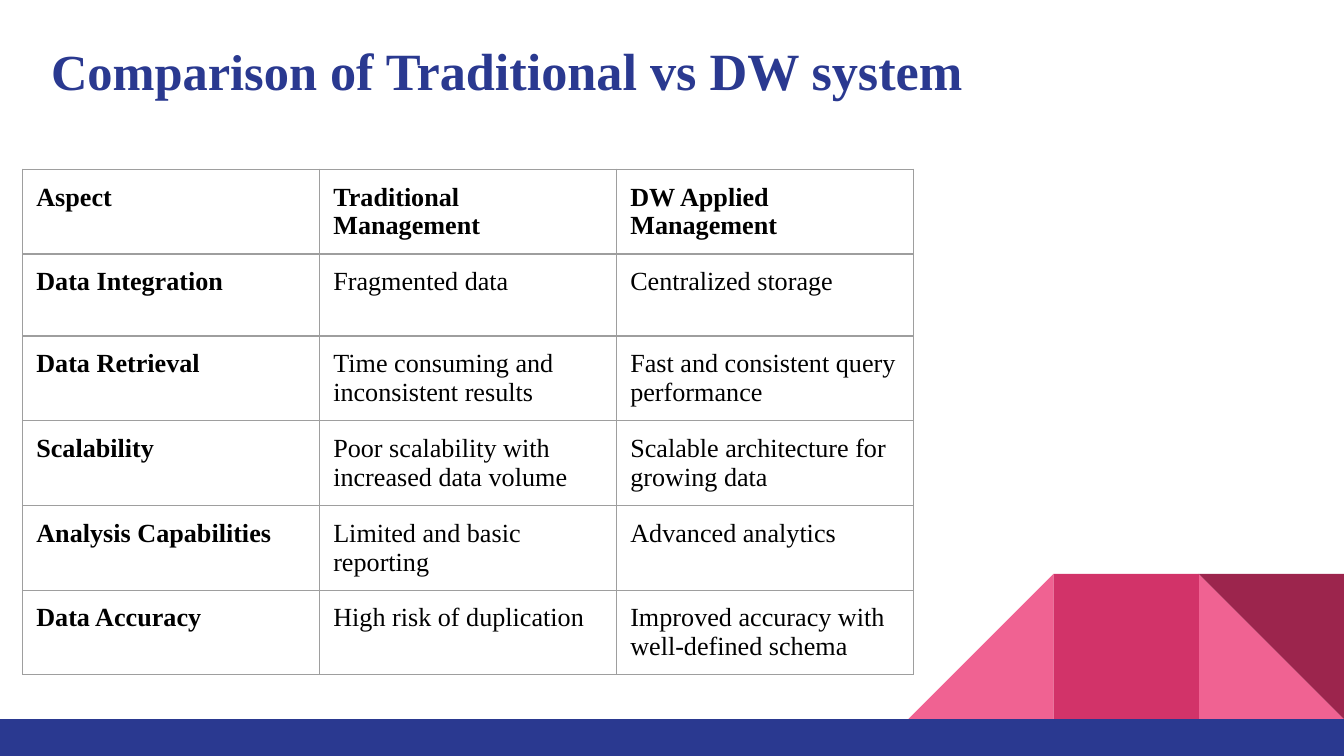
import pptx
import pptx.dml.color
import pptx.enum.shapes
import pptx.enum.text
import pptx.oxml
import pptx.oxml.ns
import pptx.util

W = 10
H = W * 9 / 16
FONT = "Times New Roman"
COLORS = {
    "white": "FFFFFF",
    "black": "000000",
    "navy": "2A3990",
    "pink": "F06292",
    "rose": "D23369",
    "wine": "9C254D",
    "grid": "9E9E9E",
}
ROWS = [
    ("Aspect", "Traditional Management", "DW Applied Management"),
    ("Data Integration", "Fragmented data", "Centralized storage"),
    ("Data Retrieval", "Time consuming and inconsistent results",
     "Fast and consistent query performance"),
    ("Scalability", "Poor scalability with increased data volume",
     "Scalable architecture for growing data"),
    ("Analysis Capabilities", "Limited and basic reporting", "Advanced analytics"),
    ("Data Accuracy", "High risk of duplication",
     "Improved accuracy with well-defined schema"),
]


def inches(*values):
    return [pptx.util.Inches(v) for v in values]


def rgb(name):
    return pptx.dml.color.RGBColor.from_string(COLORS[name])


def set_font(font, size, color, bold):
    font.name = FONT
    font.size = pptx.util.Pt(size)
    font.bold = bold
    font.color.rgb = rgb(color)


def add_block(s, kind, box, color, rotation=0, flip=False):
    sp = s.shapes.add_shape(kind, *inches(*box))
    sp.shadow.inherit = False
    sp.fill.solid()
    sp.fill.fore_color.rgb = rgb(color)
    sp.line.fill.background()
    sp.rotation = rotation
    if flip:
        sp._element.spPr.xfrm.set("flipH", "1")


def add_decoration(s):
    """Draw the bottom band and the folded ribbon standing on it."""
    kinds = pptx.enum.shapes.MSO_SHAPE
    side, band_top = 1.08, 5.35
    top = band_top - side
    left, middle, right = (W - n * side for n in (3, 2, 1))
    add_block(s, kinds.RIGHT_TRIANGLE, (right, top, side, side), "pink")
    add_block(s, kinds.RIGHT_TRIANGLE, (left, top, side, side), "pink", flip=True)
    add_block(s, kinds.RECTANGLE, (middle, top, side, side), "rose")
    add_block(s, kinds.RIGHT_TRIANGLE, (right, top, side, side), "wine", rotation=180)
    add_block(s, kinds.RECTANGLE, (0, band_top, W, H - band_top), "navy")


def add_title(s):
    sp = s.shapes.title
    sp.left, sp.top, sp.width, sp.height = inches(0.28, 0.19, 9.32, 0.66)
    tf = sp.text_frame
    tf.auto_size = pptx.enum.text.MSO_AUTO_SIZE.NONE
    tf.vertical_anchor = pptx.enum.text.MSO_ANCHOR.BOTTOM
    tf.margin_left = tf.margin_right = tf.margin_top = tf.margin_bottom = pptx.util.Inches(0.1)
    p = tf.paragraphs[0]
    p.alignment = pptx.enum.text.PP_ALIGN.LEFT
    for text, size in (("Comparison", 27), (" of Traditional vs DW system", 28)):
        r = p.add_run()
        r.text = text
        set_font(r.font, size, "navy", True)


def set_borders(cell):
    """Put the four border lines ahead of the cell's fill, as the schema asks."""
    tc_pr = cell._tc.get_or_add_tcPr()
    for i, side in enumerate(("lnL", "lnR", "lnT", "lnB")):
        tc_pr.insert(i, pptx.oxml.parse_xml(
            f'<a:{side} {pptx.oxml.ns.nsdecls("a")} w="{pptx.util.Pt(0.75)}">'
            f'<a:solidFill><a:srgbClr val="{COLORS["grid"]}"/></a:solidFill></a:{side}>'))


def fill_cell(cell, text, bold):
    cell.text = text
    cell.margin_left = cell.margin_right = pptx.util.Inches(0.1)
    cell.margin_top = cell.margin_bottom = pptx.util.Inches(0.1)
    cell.fill.background()
    set_borders(cell)
    set_font(cell.text_frame.paragraphs[0].font, 14, "black", bold)


def add_comparison(s):
    col_width, header_height, row_height = 2.21, 0.57, 0.61
    n_rows, n_cols = len(ROWS), len(ROWS[0])
    height = header_height + (n_rows - 1) * row_height
    table = s.shapes.add_table(
        n_rows, n_cols, *inches(0.17, 1.26, n_cols * col_width, height)).table
    table.first_row = table.horz_banding = False
    for col in table.columns:
        col.width = pptx.util.Inches(col_width)
    for i, texts in enumerate(ROWS):
        table.rows[i].height = pptx.util.Inches(row_height if i else header_height)
        for j, text in enumerate(texts):
            fill_cell(table.cell(i, j), text, bold=i == 0 or j == 0)


def main():
    prs = pptx.Presentation()
    prs.slide_width, prs.slide_height = inches(W, H)
    s = prs.slides.add_slide(prs.slide_layouts[5])
    s.background.fill.solid()
    s.background.fill.fore_color.rgb = rgb("white")
    add_decoration(s)
    add_title(s)
    add_comparison(s)
    prs.save("out.pptx")


if __name__ == "__main__":
    main()
